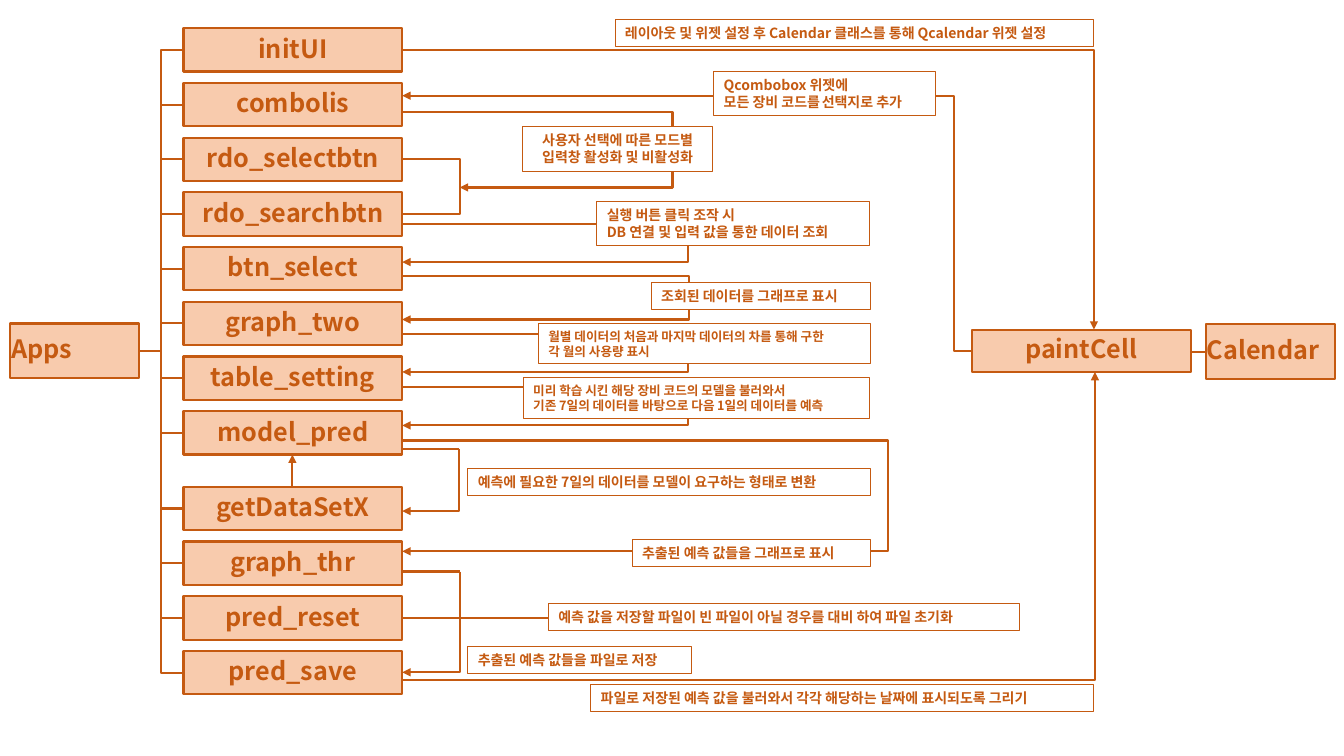
from lxml import etree
from pptx import Presentation, util as u
from pptx.dml.color import RGBColor
from pptx.enum import shapes, text
from pptx.oxml.ns import qn

FONT = "Noto Sans CJK KR"
HUES = {"rust": "C55A11", "peach": "F8CBAD", "white": "FFFFFF"}
RUST = RGBColor.from_string(HUES["rust"])
LEFT, MID = text.PP_ALIGN.LEFT, text.PP_ALIGN.CENTER

deck = Presentation()
deck.slide_width, deck.slide_height = u.Inches(13.33), u.Inches(7.5)
slide = deck.slides.add_slide(deck.slide_layouts[6])


def link(x1, y1, x2, y2, via=None, arrow=True):
    """Draw a line; it bends at the x called via, or once if via is None."""
    bent = x1 != x2 and y1 != y2
    kind = shapes.MSO_CONNECTOR.ELBOW if bent else shapes.MSO_CONNECTOR.STRAIGHT
    line = slide.shapes.add_connector(kind, *map(u.Inches, (x1, y1, x2, y2)))
    line.line.color.rgb, line.line.width = RUST, u.Pt(1.5)
    props = line._element.spPr
    etree.SubElement(props, qn("a:effectLst"))
    if arrow:
        etree.SubElement(props.find(qn("a:ln")), qn("a:tailEnd"), type="triangle")
    if bent:
        geom = props.find(qn("a:prstGeom"))
        if via is None:
            geom.set("prst", "bentConnector2")
        else:
            ratio = round((via - x1) / (x2 - x1) * 100000)
            etree.SubElement(geom.find(qn("a:avLst")), qn("a:gd"),
                             name="adj1", fmla=f"val {ratio}")


def box(x, y, wide, high, words="", size=10, fill="white", align=LEFT, edge=0.75):
    """Draw a framed rectangle with bold text and return it."""
    rect = slide.shapes.add_shape(shapes.MSO_SHAPE.RECTANGLE,
                                  *map(u.Inches, (x, y, wide, high)))
    rect.shadow.inherit = False
    rect.line.color.rgb, rect.line.width = RUST, u.Pt(edge)
    if fill:
        rect.fill.solid()
        rect.fill.fore_color.rgb = RGBColor.from_string(HUES[fill])
    else:
        rect.fill.background()
    frame = rect.text_frame
    frame.word_wrap = True
    frame.vertical_anchor = text.MSO_ANCHOR.TOP
    if fill == "peach":
        frame.vertical_anchor = text.MSO_ANCHOR.MIDDLE
        frame.margin_left = frame.margin_right = u.Inches(0.01)
        frame.margin_top = frame.margin_bottom = u.Inches(0.01)
    if words:
        frame.text = words
    for para in frame.paragraphs:
        para.alignment = align
        if fill == "peach":
            para.line_spacing = 0.9
        font = para.font
        font.size, font.bold, font.name = u.Pt(size), True, FONT
        font.color.rgb = RUST
        etree.SubElement(font._rPr, qn("a:ea"), typeface=FONT)
    return rect


# Bracket around the two radio buttons
box(1.6, 1.58, 2.96, 0.54, fill=None, edge=1.5)

# Tree of methods under Apps
upper = ["initUI", "combolis", "rdo_selectbtn", "rdo_searchbtn",
         "btn_select", "graph_two", "table_setting", "model_pred"]
lower = ["getDataSetX", "graph_thr", "pred_reset", "pred_save"]
edge, wide, high, step = 1.82, 2.17, 0.43, 3.8 / 7
side = edge + wide
for names, start in ((upper, 0.28), (lower, 4.83)):
    for row, name in enumerate(names):
        top = start + row * step
        link(1.38, 3.48, edge, top + high / 2, via=1.6, arrow=False)
        box(edge, top, wide, high, name, 18, "peach", MID, 1.5)
box(0.1, 3.21, 1.28, 0.54, "Apps", 18, "peach", LEFT, 1.5)

# Calendar and its method
link(11.82, 3.49, 11.96, 3.49, arrow=False)
box(11.96, 3.21, 1.28, 0.55, "Calendar", 18, "peach", LEFT, 1.5)
box(9.64, 3.27, wide, 0.42, "paintCell", 18, "peach", MID, 1.5)

# Calls between methods
link(side, 1.11, 4.56, 1.86, via=6.67)
link(9.64, 3.48, side, 0.95, via=9.46)
link(side, 0.5, 10.85, 3.27)
link(side, 6.75, 10.86, 3.69)
link(2.9, 4.83, 2.9, 4.51)
link(side, 6.13, 5.44, 6.13, arrow=False)

# Loops back to the column: stub end, start y, turning x, end y
loops = [
    (4.56, 2.22, 6.82, 2.6),
    (4.56, 2.74, 6.83, 3.17),
    (4.56, 3.31, 6.82, 3.69),
    (4.56, 3.84, 6.82, 4.22),
    (8.8, 4.37, 8.81, 5.47),
    (4.55, 4.45, 4.55, 5.07),
    (4.56, 5.67, 4.56, 6.67),
]
for stub, y, turn, end in loops:
    link(side, y, stub, y, arrow=False)
    link(stub, y, side, end, via=turn)

# Notes on the calls
notes = [
    (5.92, 2, 2.7, 0.44, "실행 버튼 클릭 조작 시\nDB 연결 및 입력 값을 통한 데이터 조회"),
    (6.46, 2.8, 2.17, 0.27, "조회된 데이터를 그래프로 표시"),
    (5.34, 3.21, 3.29, 0.4,
     "월별 데이터의 처음과 마지막 데이터의 차를 통해 구한\n각 월의 사용량 표시", 9),
    (5.19, 3.75, 3.43, 0.4,
     "미리 학습 시킨 해당 장비 코드의 모델을 불러와서\n"
     "기존 7일의 데이터를 바탕으로 다음 1일의 데이터를 예측", 9),
    (4.64, 4.65, 3.99, 0.27, "예측에 필요한 7일의 데이터를 모델이 요구하는 형태로 변환"),
    (6.27, 5.35, 2.36, 0.27, "추출된 예측 값들을 그래프로 표시"),
    (4.64, 6.41, 2.22, 0.27, "추출된 예측 값들을 파일로 저장"),
    (5.86, 6.79, 4.99, 0.27,
     "파일로 저장된 예측 값을 불러와서 각각 해당하는 날짜에 표시되도록 그리기"),
    (5.44, 5.99, 4.67, 0.27,
     "예측 값을 저장할 파일이 빈 파일이 아닐 경우를 대비 하여 파일 초기화"),
    (6.1, 0.19, 4.75, 0.27,
     "레이아웃 및 위젯 설정 후 Calendar 클래스를 통해 Qcalendar 위젯 설정", 10, None),
    (5.18, 1.26, 1.89, 0.44,
     "사용자 선택에 따른 모드별\n입력창 활성화 및 비활성화", 10, "white", MID),
]
for note in notes:
    box(*note)

combo = box(7.08, 0.71, 2.2, 0.44, "Qcombobox 위젯에\v모든 장비 코드를")
for words, size in ((" ", 6), ("선택지로 추가", 10)):
    run = combo.text_frame.paragraphs[0].add_run()
    run.text, run.font.size = words, u.Pt(size)

deck.save("out.pptx")
